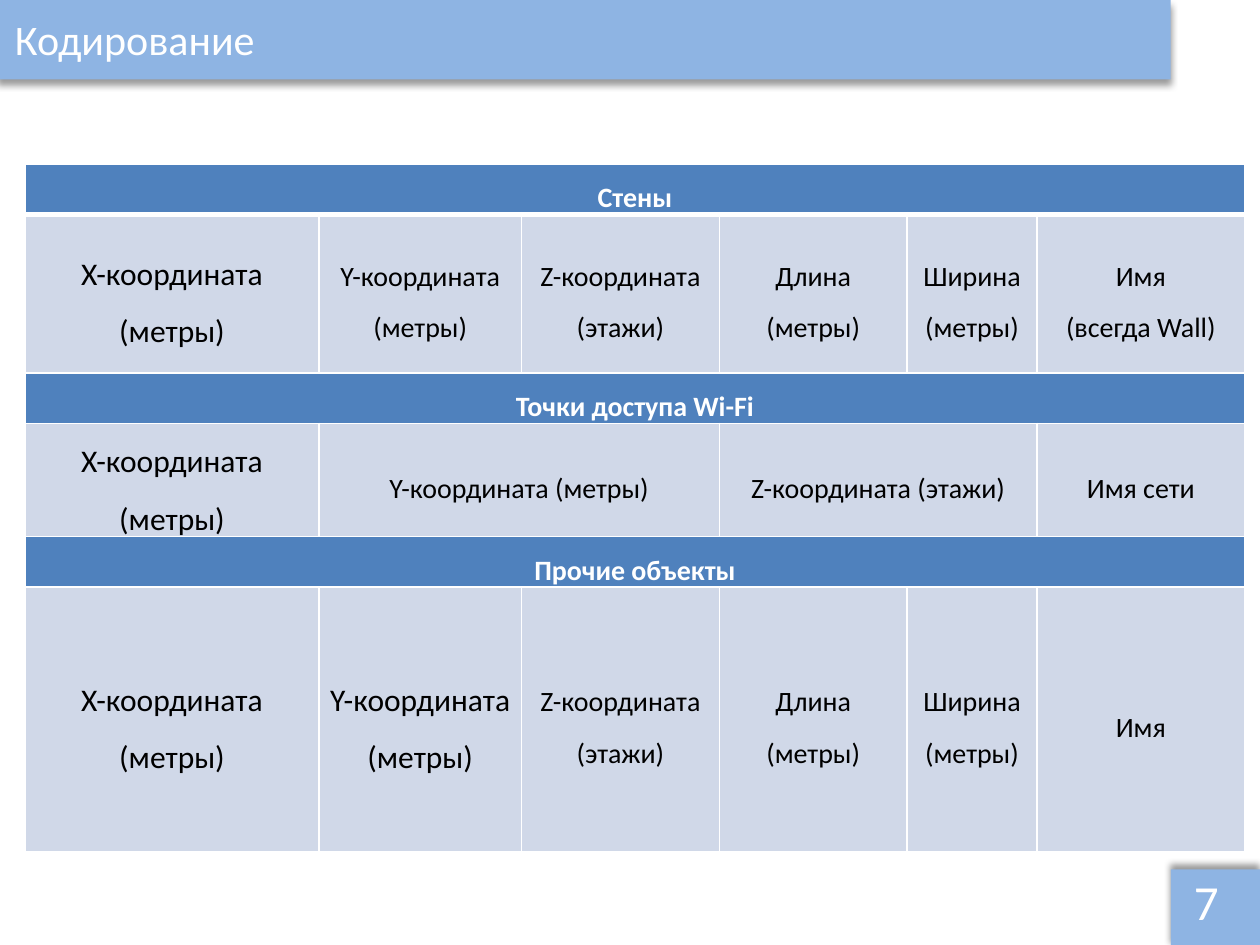
"""Build the slide that shows how map objects are encoded."""
from lxml import etree
from pptx import Presentation
from pptx.dml.color import RGBColor
from pptx.enum.shapes import MSO_SHAPE
from pptx.enum.text import MSO_ANCHOR, PP_ALIGN
from pptx.oxml import parse_xml
from pptx.oxml.ns import qn
from pptx.util import Pt

RECTANGLE = MSO_SHAPE.RECTANGLE
MIDDLE, TOP = MSO_ANCHOR.MIDDLE, MSO_ANCHOR.TOP
LEFT, CENTER, RIGHT = PP_ALIGN.LEFT, PP_ALIGN.CENTER, PP_ALIGN.RIGHT
WHITE = RGBColor(0xFF, 0xFF, 0xFF)
BLACK = RGBColor(0x00, 0x00, 0x00)
SKY = RGBColor(0x8E, 0xB4, 0xE3)
BLUE = RGBColor(0x4F, 0x81, 0xBD)
PALE = RGBColor(0xD0, 0xD8, 0xE8)
FONT = "Calibri"
DRAWING = "http://schemas.openxmlformats.org/drawingml/2006/main"

COLUMN_WIDTHS = (167.8, 115.9, 113, 107.3, 74.2, 118.8)
ROW_HEIGHTS = (24, 90.7, 24, 55.4, 24, 151.2)
X_FIELD = "X-координата\n(метры)"
Y_FIELD = "Y-координата (метры)"
Z_FIELD = "Z-координата (этажи)"
LENGTH, WIDTH = "Длина\n(метры)", "Ширина\n(метры)"
SECTIONS = (
    ("Стены", ((X_FIELD, 1, 18), (Y_FIELD, 1, 16), (Z_FIELD, 1, 16),
               (LENGTH, 1, 16), (WIDTH, 1, 16), ("Имя\n(всегда Wall)", 1, 16))),
    ("Точки доступа Wi-Fi", ((X_FIELD, 1, 18), (Y_FIELD, 2, 16),
                             (Z_FIELD, 2, 16), ("Имя сети", 1, 16))),
    ("Прочие объекты", ((X_FIELD, 1, 18), (Y_FIELD, 1, 18), (Z_FIELD, 1, 16),
                        (LENGTH, 1, 16), (WIDTH, 1, 16), ("Имя", 1, 16))),
)


def write_text(frame, text, size, color=WHITE, bold=False, align=LEFT, spacing=None):
    """Write each line of text as a formatted paragraph."""
    for index, line in enumerate(text.split("\n")):
        para = frame.add_paragraph() if index else frame.paragraphs[0]
        para.alignment = align
        para.line_spacing = spacing
        span = para.add_run()
        span.text = line
        span.font.name = FONT
        span.font.size = Pt(size)
        span.font.bold = bold
        span.font.color.rgb = color


def add_banner(page, left, top, width, height, angle):
    """Add a plain block that casts a shadow at the angle in degrees."""
    banner = page.shapes.add_shape(RECTANGLE, Pt(left), Pt(top), Pt(width), Pt(height))
    banner.fill.solid()
    banner.fill.fore_color.rgb = SKY
    banner.line.fill.background()
    banner.shadow.inherit = False
    effects = banner._element.spPr.find(qn("a:effectLst"))
    effects.append(parse_xml(
        f'<a:outerShdw xmlns:a="{DRAWING}" blurRad="{Pt(4)}" dist="{Pt(3)}" '
        f'dir="{angle * 60000}" algn="t" rotWithShape="0">'
        '<a:srgbClr val="000000"><a:alpha val="40000"/></a:srgbClr></a:outerShdw>'))


def add_label(page, text, left, top, width, height, wrap=True, anchor=TOP, **style):
    """Add a text box."""
    box = page.shapes.add_textbox(Pt(left), Pt(top), Pt(width), Pt(height))
    box.text_frame.word_wrap = wrap
    box.text_frame.vertical_anchor = anchor
    write_text(box.text_frame, text, **style)


def style_cell(cell, fill, top, bottom):
    """Set the borders, fill and margins of a cell."""
    properties = cell._tc.get_or_add_tcPr()
    for side, weight in (("L", 1), ("R", 1), ("T", top), ("B", bottom)):
        line = etree.SubElement(properties, qn(f"a:ln{side}"), w=str(Pt(weight)))
        paint = etree.SubElement(line, qn("a:solidFill"))
        etree.SubElement(paint, qn("a:srgbClr"), val=str(WHITE))
    cell.fill.solid()
    cell.fill.fore_color.rgb = fill
    cell.vertical_anchor = MIDDLE
    cell.margin_left = cell.margin_right = Pt(5)
    cell.margin_top = cell.margin_bottom = 0


def fill_row(table, row, fields, fill, color, bold=False):
    """Fill a row with fields of text, column span and size."""
    for column in range(len(COLUMN_WIDTHS)):
        style_cell(table.cell(row, column), fill,
                   3 if row == 1 else 1, 3 if row == 0 else 1)
    column = 0
    for text, span, size in fields:
        cell = table.cell(row, column)
        if span > 1:
            cell.merge(table.cell(row, column + span - 1))
        write_text(cell.text_frame, text, size, color, bold, CENTER, 1.5)
        column += span


def add_field_table(page, left, top):
    """Add the table with a heading row and a field row for each section."""
    count = len(COLUMN_WIDTHS)
    table = page.shapes.add_table(
        len(ROW_HEIGHTS), count, Pt(left), Pt(top),
        Pt(sum(COLUMN_WIDTHS)), Pt(sum(ROW_HEIGHTS))).table
    table.first_row = table.horz_banding = False
    for column, width in zip(table.columns, COLUMN_WIDTHS):
        column.width = Pt(width)
    for row, height in zip(table.rows, ROW_HEIGHTS):
        row.height = Pt(height)
    for index, (heading, fields) in enumerate(SECTIONS):
        fill_row(table, 2 * index, ((heading, count, 16),), BLUE, WHITE, True)
        fill_row(table, 2 * index + 1, fields, PALE, BLACK)


def main():
    """Build and save the deck."""
    deck = Presentation()
    deck.slide_width, deck.slide_height = Pt(720), Pt(540)
    page = deck.slides.add_slide(deck.slide_layouts[6])
    add_banner(page, -2, 0, 671, 45.4, 90)
    add_banner(page, 669, 496.8, 51, 45.4, 270)
    add_label(page, "7", 535.7, 500.4, 167.8, 28.8, anchor=MIDDLE, size=28, align=RIGHT)
    add_label(page, "Кодирование", 1.4, 4.3, 152.6, 36, wrap=False, size=24)
    add_field_table(page, 14.4, 93.6)
    deck.save("out.pptx")


main()
